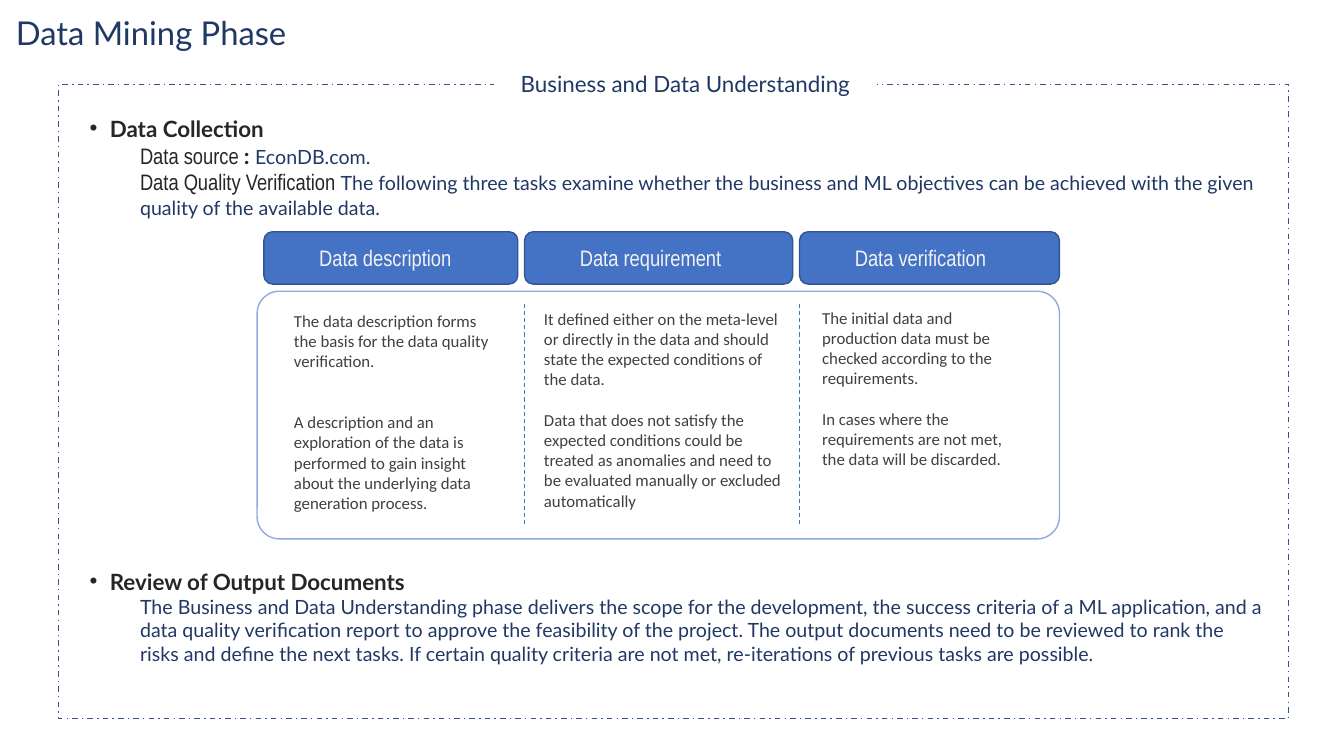
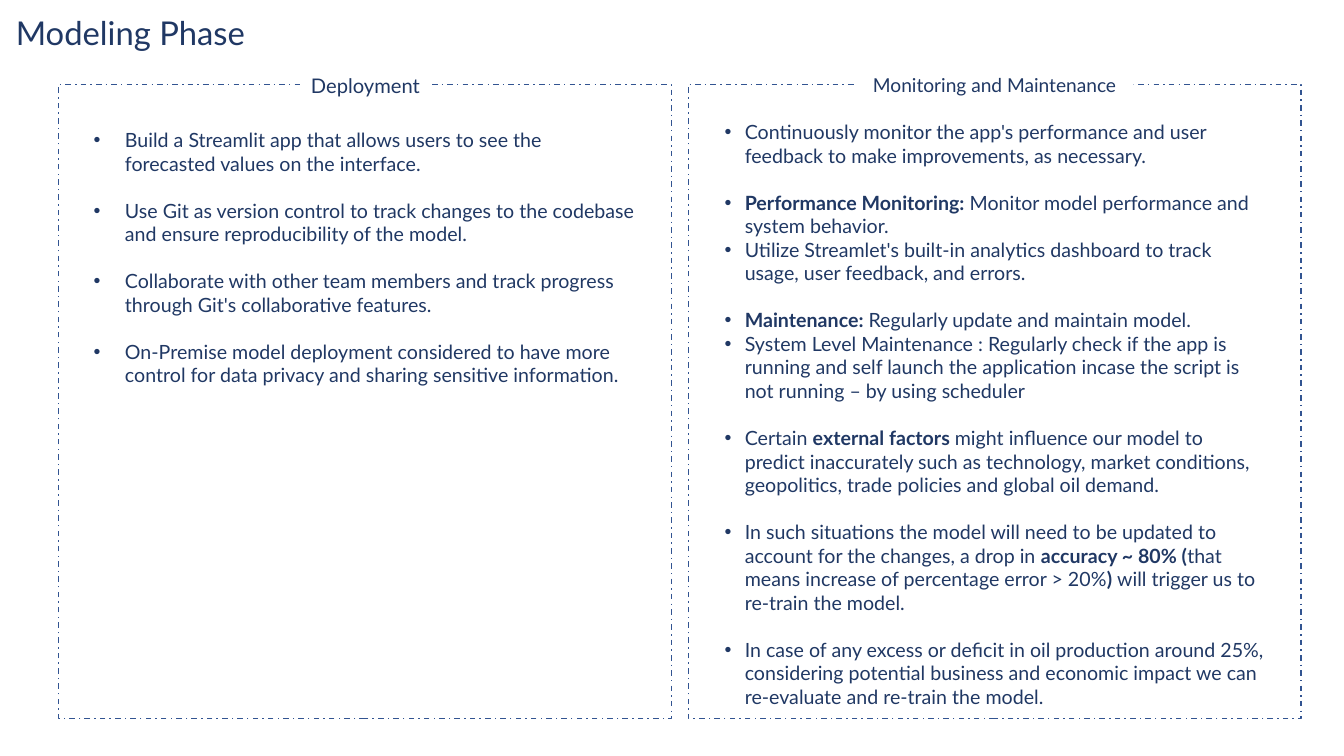
"""Build two slides on the data mining and modeling phases of a project."""
from lxml.etree import SubElement
from pptx import Presentation
from pptx.dml.color import RGBColor
from pptx.enum.dml import MSO_LINE_DASH_STYLE as DASH
from pptx.enum.shapes import MSO_CONNECTOR, MSO_SHAPE
from pptx.enum.text import MSO_ANCHOR, PP_ALIGN
from pptx.oxml.ns import qn
from pptx.util import Cm, Pt

COLORS = {
    "navy": "203864", "frame": "325491", "blue": "4472C4", "pale_blue": "8FAADC",
    "heading": "262626", "body": "404040", "light": "F2F2F2", "white": "FFFFFF",
}

# Character styles: font, size, colour, bold
CHARACTERS = {
    "title": ("Lato", 23.4, "navy", False),
    "label": ("Lato", 16, "navy", False),
    "heading": ("Lato", 16, "heading", True),
    "text": ("Lato", 14, "navy", False),
    "strong": ("Lato", 14, "navy", True),
    "lead": ("Arial Narrow", 16, "heading", False),
    "task": ("Arial Narrow", 16, "light", False),
    "detail": ("Calibri", 12, "body", False),
}

TITLE_AREA = (0.15, 0.15, 29.21, 1.3)
FRAME_TOP, FRAME_HEIGHT = 2.13, 15.98
LABEL_HEIGHT = 0.84
BLANK_LINE = 16.8
TEXT_INDENT = 1.27
NARROW_HANG, WIDE_HANG = 0.51, 0.79

# Paragraphs: runs, style, space before
COLLECTION = [
    (["Data Collection"], "heading", 0),
    ([("Data source ", "lead"), (": ", "heading"), "EconDB.com."], "text", 0),
    ([("Data Quality Verification ", "lead"),
      "The following three tasks examine whether the business and ML objectives can be "
      "achieved with the given quality of the available data."], "text", 0),
]
REVIEW = [
    (["Review of Output Documents"], "heading", 0),
    (["The Business and Data Understanding phase delivers the scope for the development, "
      "the success criteria of a ML application, and a data quality verification report to "
      "approve the feasibility of the project. The output documents need to be reviewed to "
      "rank the risks and define the next tasks. If certain quality criteria are not met, "
      "re-iterations of previous tasks are possible."], "text", 0),
]

TASKS = [
    {"name": "Data description", "width": 6.4, "area": (7.16, 7.7, 5.56, 5.38), "gap": 29.3,
     "details": [
         "The data description forms the basis for the data quality verification.",
         "A description and an exploration of the data is performed to gain insight about "
         "the underlying data generation process."]},
    {"name": "Data requirement", "width": 6.76, "area": (13.46, 7.65, 6.68, 5.38), "gap": 14.6,
     "details": [
         "It defined either on the meta-level or directly in the data and should state the "
         "expected conditions of the data.",
         "Data that does not satisfy the expected conditions could be treated as anomalies "
         "and need to be evaluated manually or excluded automatically"]},
    {"name": "Data verification", "width": 6.55, "area": (20.47, 7.62, 5.26, 4.37), "gap": 14.6,
     "details": [
         "The initial data and production data must be checked according to the requirements.",
         "In cases where the requirements are not met, the data will be discarded."]},
]
TASK_LEFT, TASK_TOP, TASK_HEIGHT, TASK_GAP = 6.65, 5.84, 1.32, 0.17
TASK_INSET = 1.33
DETAIL_PANEL = (6.48, 7.34, 20.22, 6.24)
DIVIDER_TOP, DIVIDER_BOTTOM = 7.65, 13.23

DEPLOYMENT = [
    (["Build a Streamlit app that allows users to see the forecasted values on the "
      "interface."], "text", 0),
    (["Use Git as version control to track changes to the codebase and ensure "
      "reproducibility of the model."], "text", BLANK_LINE),
    (["Collaborate with other team members and track progress through Git's "
      "collaborative features."], "text", BLANK_LINE),
    (["On-Premise model deployment considered to have more control for data privacy and "
      "sharing sensitive information."], "text", BLANK_LINE),
]
MONITORING = [
    (["Continuously monitor the app's performance and user feedback to make improvements, "
      "as necessary."], "text", 0),
    ([("Performance Monitoring: ", "strong"),
      "Monitor model performance and system behavior."], "text", BLANK_LINE),
    (["Utilize Streamlet's built-in analytics dashboard to track usage, user feedback, and "
      "errors."], "text", 0),
    ([("Maintenance: ", "strong"), "Regularly update and maintain model."],
     "text", BLANK_LINE),
    (["System Level Maintenance : Regularly check if the app is running and self launch the "
      "application incase the script is not running – by using scheduler"], "text", 0),
    (["Certain ", ("external factors ", "strong"),
      "might influence our model to predict inaccurately such as technology, market "
      "conditions, geopolitics, trade policies and global oil demand."], "text", BLANK_LINE),
    (["In such situations the model will need to be updated to account for the changes, a "
      "drop in ", ("accuracy ~ 80% (", "strong"),
      "that means increase of percentage error > 20%", (") ", "strong"),
      "will trigger us to re-train the model."], "text", BLANK_LINE),
    (["In case of any excess or deficit in oil production around 25%, considering potential "
      "business and economic impact we can re-evaluate and re-train the model."],
     "text", BLANK_LINE),
]
PANELS = [
    {"label": "Deployment", "size": 14.4, "left": 1.48, "label_area": (7.57, 1.75, 3.28),
     "area": (2.11, 3.1, 14.17, 6.83), "hang": WIDE_HANG, "points": DEPLOYMENT},
    {"label": "Monitoring and Maintenance", "size": 13.7, "left": 17.35,
     "label_area": (21.56, 1.73, 7.01),
     "area": (18.01, 2.9, 14.17, 15.21), "hang": NARROW_HANG, "points": MONITORING},
]
PANEL_WIDTH = 15.44


def rgb(color):
    return RGBColor.from_string(COLORS[color])


def set_font(font, style):
    font.name, size, color, font.bold = CHARACTERS[style]
    font.size = Pt(size)
    font.color.rgb = rgb(color)


def set_indent(paragraph, margin, hang=0):
    properties = paragraph._p.get_or_add_pPr()
    properties.set("marL", str(Cm(margin)))
    properties.set("indent", str(-Cm(hang)))
    if hang:
        SubElement(properties, qn("a:buFont")).set("typeface", "Arial")
        SubElement(properties, qn("a:buChar")).set("char", "•")


def write(frame, paragraphs, hang=0):
    """Fill a text frame; headings, or all points when hang is given, get bullets."""
    for index, (runs, style, before) in enumerate(paragraphs):
        paragraph = frame.add_paragraph() if index else frame.paragraphs[0]
        if hang:
            set_indent(paragraph, hang, hang)
        elif style == "heading":
            set_indent(paragraph, NARROW_HANG, NARROW_HANG)
        elif style == "text":
            set_indent(paragraph, TEXT_INDENT)
        if before:
            paragraph.space_before = Pt(before)
        set_font(paragraph.font, style)
        for part in runs:
            text, run_style = (part, style) if isinstance(part, str) else part
            run = paragraph.add_run()
            run.text = text
            if run_style != style:
                set_font(run.font, run_style)


def add_text(slide, area, paragraphs, hang=0):
    frame = slide.shapes.add_textbox(*map(Cm, area)).text_frame
    frame.word_wrap = True
    write(frame, paragraphs, hang)
    return frame


def add_box(slide, kind, area, fill=None, line=None):
    box = slide.shapes.add_shape(kind, *map(Cm, area))
    box.shadow.inherit = False
    if fill:
        box.fill.solid()
        box.fill.fore_color.rgb = rgb(fill)
    else:
        box.fill.background()
    if line:
        box.line.color.rgb = rgb(line)
        box.line.width = Pt(1)
    else:
        box.line.fill.background()
    return box


def add_title(slide, title):
    frame = add_text(slide, TITLE_AREA, [([title], "title", 0)])
    frame.vertical_anchor = MSO_ANCHOR.BOTTOM
    frame.paragraphs[0].line_spacing = 0.9


def add_frame(slide, left, width):
    area = (left, FRAME_TOP, width, FRAME_HEIGHT)
    add_box(slide, MSO_SHAPE.RECTANGLE, area, line="frame").line.dash_style = DASH.DASH_DOT


def add_label(slide, area, label, size=16):
    frame = add_box(slide, MSO_SHAPE.RECTANGLE, (*area, LABEL_HEIGHT), "white").text_frame
    frame.word_wrap = False
    frame.vertical_anchor = MSO_ANCHOR.BOTTOM
    write(frame, [([label], "label", 0)])
    paragraph = frame.paragraphs[0]
    paragraph.alignment = PP_ALIGN.CENTER
    paragraph.line_spacing = 0.9
    paragraph.font.size = Pt(size)


def add_divider(slide, x):
    divider = slide.shapes.add_connector(
        MSO_CONNECTOR.STRAIGHT, Cm(x), Cm(DIVIDER_TOP), Cm(x), Cm(DIVIDER_BOTTOM))
    divider.line.color.rgb = rgb("blue")
    divider.line.width = Pt(0.75)
    divider.line.dash_style = DASH.DASH
    SubElement(divider._element.spPr, qn("a:effectLst"))


def add_tasks(slide):
    panel = add_box(slide, MSO_SHAPE.ROUNDED_RECTANGLE, DETAIL_PANEL, line="pale_blue")
    panel.adjustments[0] = 0.09
    left = TASK_LEFT
    for index, task in enumerate(TASKS):
        area = (left, TASK_TOP, task["width"], TASK_HEIGHT)
        frame = add_box(slide, MSO_SHAPE.ROUNDED_RECTANGLE, area, "blue", "frame").text_frame
        frame.margin_left = Cm(TASK_INSET)
        frame.vertical_anchor = MSO_ANCHOR.MIDDLE
        write(frame, [([task["name"]], "task", 0)])
        frame.paragraphs[0].alignment = PP_ALIGN.LEFT
        if index:
            add_divider(slide, left)
        add_text(slide, task["area"], [
            ([detail], "detail", task["gap"] if order else 0)
            for order, detail in enumerate(task["details"])])
        left += task["width"] + TASK_GAP


def build_data_mining(slide):
    add_title(slide, "Data Mining Phase")
    add_frame(slide, 1.48, 30.99)
    add_label(slide, (12.45, 1.75, 9.65), "Business and Data Understanding")
    add_text(slide, (2.01, 2.77, 30.15, 2.9), COLLECTION)
    add_tasks(slide)
    add_text(slide, (2.01, 14.18, 30.15, 2.9), REVIEW)


def build_modeling(slide):
    add_title(slide, "Modeling Phase")
    for panel in PANELS:
        add_frame(slide, panel["left"], PANEL_WIDTH)
        add_label(slide, panel["label_area"], panel["label"], panel["size"])
        add_text(slide, panel["area"], panel["points"], panel["hang"])


def main():
    deck = Presentation()
    deck.slide_width, deck.slide_height = Cm(33.87), Cm(19.05)
    for build in (build_data_mining, build_modeling):
        build(deck.slides.add_slide(deck.slide_layouts[6]))
    deck.save("out.pptx")


if __name__ == "__main__":
    main()
